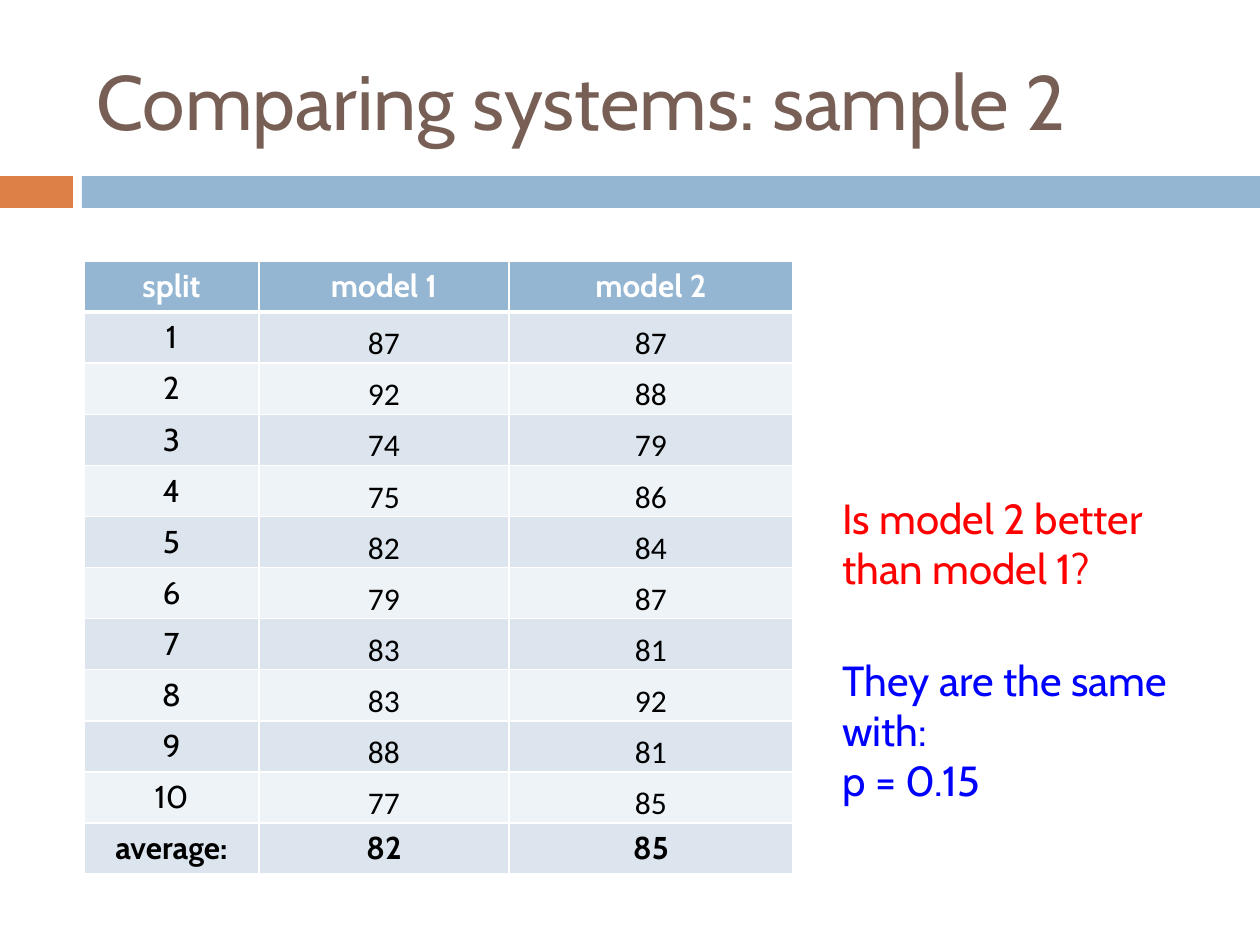
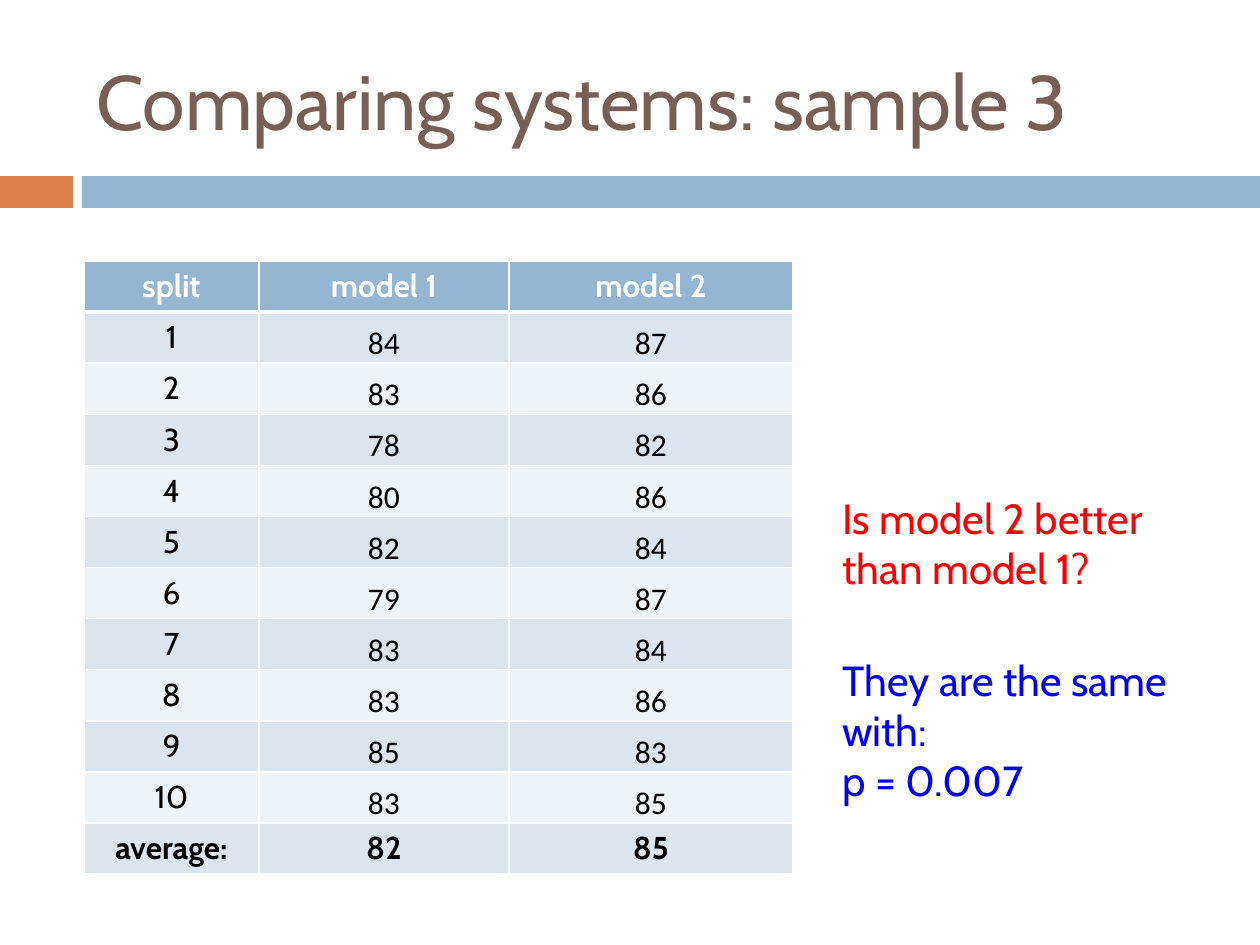
"""Build two slides that compare two models over ten data splits."""
from dataclasses import dataclass

from lxml import etree
from pptx import Presentation
from pptx.dml.color import RGBColor
from pptx.enum.shapes import MSO_SHAPE
from pptx.enum.text import MSO_ANCHOR, MSO_AUTO_SIZE, PP_ALIGN
from pptx.oxml.ns import qn
from pptx.util import Pt

RECTANGLE = MSO_SHAPE.RECTANGLE
MIDDLE, BOTTOM = MSO_ANCHOR.MIDDLE, MSO_ANCHOR.BOTTOM
LEFT, CENTER = PP_ALIGN.LEFT, PP_ALIGN.CENTER
NO_FIT, GROW = MSO_AUTO_SIZE.NONE, MSO_AUTO_SIZE.SHAPE_TO_FIT_TEXT

EMU_PER_PIXEL = 914400 // 126
TITLE_ONLY = 5
MAIN_FONT, NUMBER_FONT = "Cabin", "Calibri"

BROWN = RGBColor(0x77, 0x5F, 0x55)
ORANGE = RGBColor(0xDD, 0x80, 0x47)
BLUE = RGBColor(0x94, 0xB6, 0xD2)
ROW_DARK = RGBColor(0xDC, 0xE5, 0xEE)
ROW_LIGHT = RGBColor(0xEE, 0xF3, 0xF7)
WHITE = RGBColor(0xFF, 0xFF, 0xFF)
BLACK = RGBColor(0, 0, 0)
RED = RGBColor(0xFF, 0, 0)
PURE_BLUE = RGBColor(0, 0, 0xFF)

HEADINGS = ("split", "model 1", "model 2")
COLUMN_WIDTHS = (175, 250, 284)
ROW_HEIGHT = 49


@dataclass(frozen=True)
class Area:
    """A rectangle on the slide, in pixels."""

    left: int
    top: int
    width: int
    height: int

    def emu(self) -> tuple[int, ...]:
        """Return left, top, width and height in EMU."""
        return tuple(px(n) for n in (self.left, self.top, self.width, self.height))


@dataclass(frozen=True)
class Band:
    """A coloured bar below the title."""

    area: Area
    color: RGBColor


@dataclass(frozen=True)
class Sample:
    """The scores and the verdict of one sample."""

    number: int
    model_1: tuple[int, ...]
    model_2: tuple[int, ...]
    averages: tuple[int, int]
    p_value: str


BANDS = (
    Band(Area(0, 176, 73, 32), ORANGE),
    Band(Area(82, 176, 1178, 32), BLUE),
)
TITLE_AREA = Area(84, 32, 1124, 136)
TABLE_AREA = Area(84, 261, sum(COLUMN_WIDTHS), 605)
QUESTION_AREA = Area(830, 486, 377, 115)
VERDICT_AREA = Area(830, 648, 425, 115)

SAMPLES = (
    Sample(2, (87, 92, 74, 75, 82, 79, 83, 83, 88, 77),
           (87, 88, 79, 86, 84, 87, 81, 92, 81, 85), (82, 85), "0.15"),
    Sample(3, (84, 83, 78, 80, 82, 79, 83, 83, 85, 83),
           (87, 86, 82, 86, 84, 87, 84, 86, 83, 85), (82, 85), "0.007"),
)


def px(pixels: int) -> int:
    """Turn pixels into EMU."""
    return pixels * EMU_PER_PIXEL


def write(frame, text: str, *, size: int, color: RGBColor, font: str = MAIN_FONT,
          bold: bool = False, align=LEFT) -> None:
    """Fill a text frame with one paragraph for each line of the text."""
    for index, line in enumerate(text.split("\n")):
        para = frame.add_paragraph() if index else frame.paragraphs[0]
        para.alignment = align
        span = para.add_run()
        span.text = line
        span.font.name = font
        span.font.size = Pt(size)
        span.font.bold = bold
        span.font.color.rgb = color


def add_band(page, band: Band) -> None:
    """Draw one bar without outline or shadow."""
    bar = page.shapes.add_shape(RECTANGLE, *band.area.emu())
    bar.shadow.inherit = False
    bar.fill.solid()
    bar.fill.fore_color.rgb = band.color
    bar.line.fill.background()


def set_title(page, text: str) -> None:
    """Place and format the title placeholder."""
    title = page.shapes.title
    title.left, title.top, title.width, title.height = TITLE_AREA.emu()
    title.text_frame.vertical_anchor = MIDDLE
    title.text_frame.auto_size = NO_FIT
    write(title.text_frame, text, size=44, color=BROWN)


def add_note(page, area: Area, text: str, color: RGBColor) -> None:
    """Add a wrapping text box that grows with its text."""
    box = page.shapes.add_textbox(*area.emu())
    box.text_frame.word_wrap = True
    box.text_frame.auto_size = GROW
    write(box.text_frame, text, size=24, color=color)


def set_borders(cell, top: int, bottom: int) -> None:
    """Give a cell white borders, with the top and bottom widths in points."""
    properties = cell._tc.get_or_add_tcPr()
    for side, width in (("L", 1), ("R", 1), ("T", top), ("B", bottom)):
        line = etree.SubElement(properties, qn(f"a:ln{side}"), w=str(Pt(width)))
        fill = etree.SubElement(line, qn("a:solidFill"))
        etree.SubElement(fill, qn("a:srgbClr"), val=str(WHITE))


def fill_cell(cell, text: str, row: int, is_score: bool, last_row: int) -> None:
    """Write and format one table cell according to its row."""
    is_header = row == 0
    set_borders(cell, top=3 if row == 1 else 1, bottom=3 if is_header else 1)
    cell.fill.solid()
    cell.fill.fore_color.rgb = BLUE if is_header else ROW_DARK if row % 2 else ROW_LIGHT
    if is_score:
        cell.vertical_anchor = BOTTOM
        cell.margin_left = cell.margin_right = cell.margin_top = px(1)
        cell.margin_bottom = 0
    write(cell.text_frame, text, size=18, color=WHITE if is_header else BLACK,
          font=NUMBER_FONT if is_score else MAIN_FONT,
          bold=row in (0, last_row), align=CENTER)


def add_scores(page, sample: Sample) -> None:
    """Add the table of scores for each split and their averages."""
    splits = range(1, len(sample.model_1) + 1)
    rows = [HEADINGS, *zip(splits, sample.model_1, sample.model_2),
            ("average:", *sample.averages)]
    last_row = len(rows) - 1
    frame = page.shapes.add_table(len(rows), len(HEADINGS), *TABLE_AREA.emu())
    table = frame.table
    for column, width in zip(table.columns, COLUMN_WIDTHS):
        column.width = px(width)
    for row, values in enumerate(rows):
        table.rows[row].height = px(ROW_HEIGHT)
        for column, value in enumerate(values):
            is_score = column > 0 and 0 < row < last_row
            fill_cell(table.cell(row, column), str(value), row, is_score, last_row)
    frame.height = px(TABLE_AREA.height)


def add_sample_page(deck, sample: Sample) -> None:
    """Add the slide of one sample."""
    page = deck.slides.add_slide(deck.slide_layouts[TITLE_ONLY])
    for band in BANDS:
        add_band(page, band)
    set_title(page, f"Comparing systems: sample {sample.number}")
    add_scores(page, sample)
    add_note(page, QUESTION_AREA, "Is model 2 better than model 1?", RED)
    add_note(page, VERDICT_AREA,
             f"They are the same with:\np = {sample.p_value}", PURE_BLUE)


def main() -> None:
    """Build and save the deck."""
    deck = Presentation()
    deck.slide_width, deck.slide_height = px(1260), px(945)
    for sample in SAMPLES:
        add_sample_page(deck, sample)
    deck.save("out.pptx")


main()
